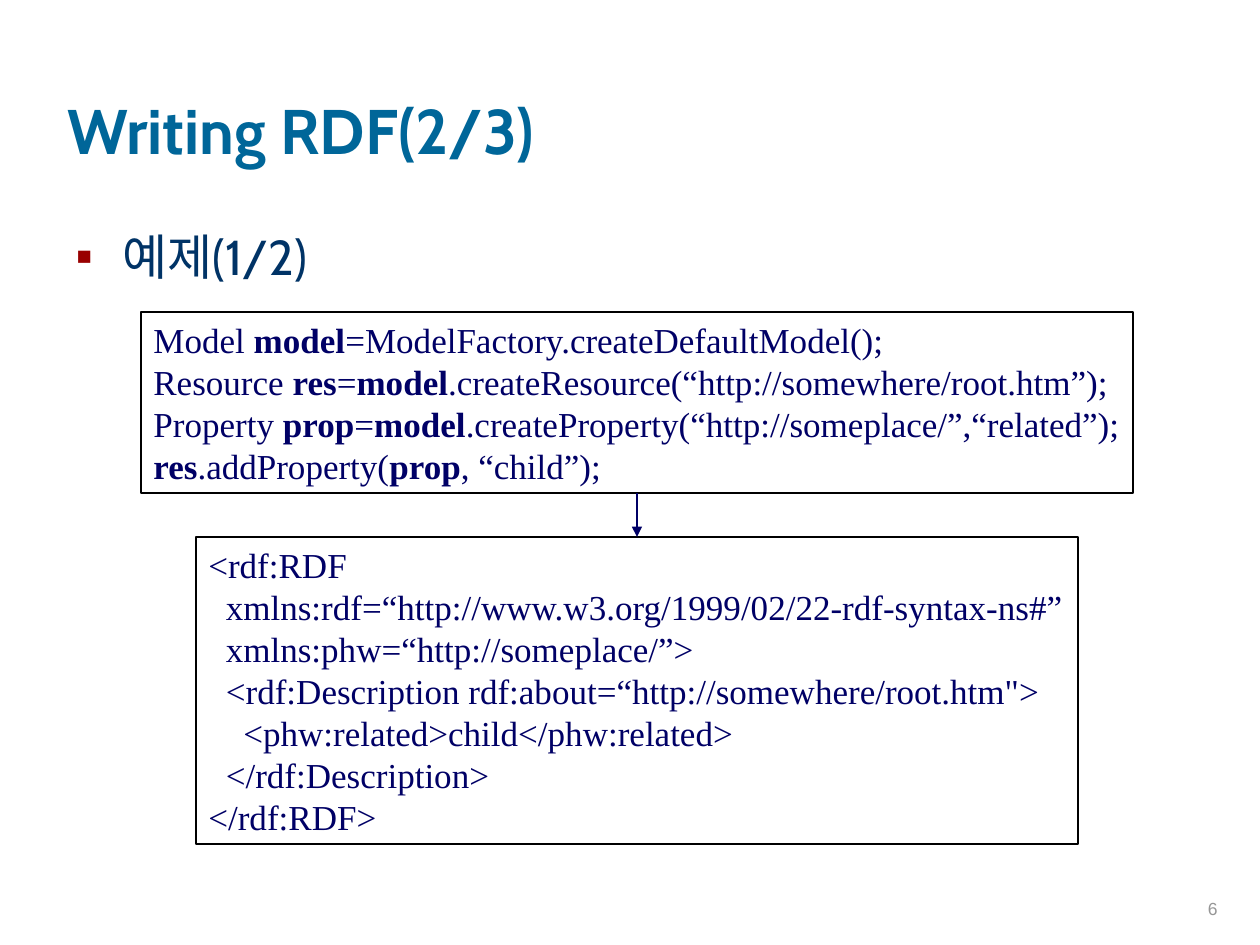
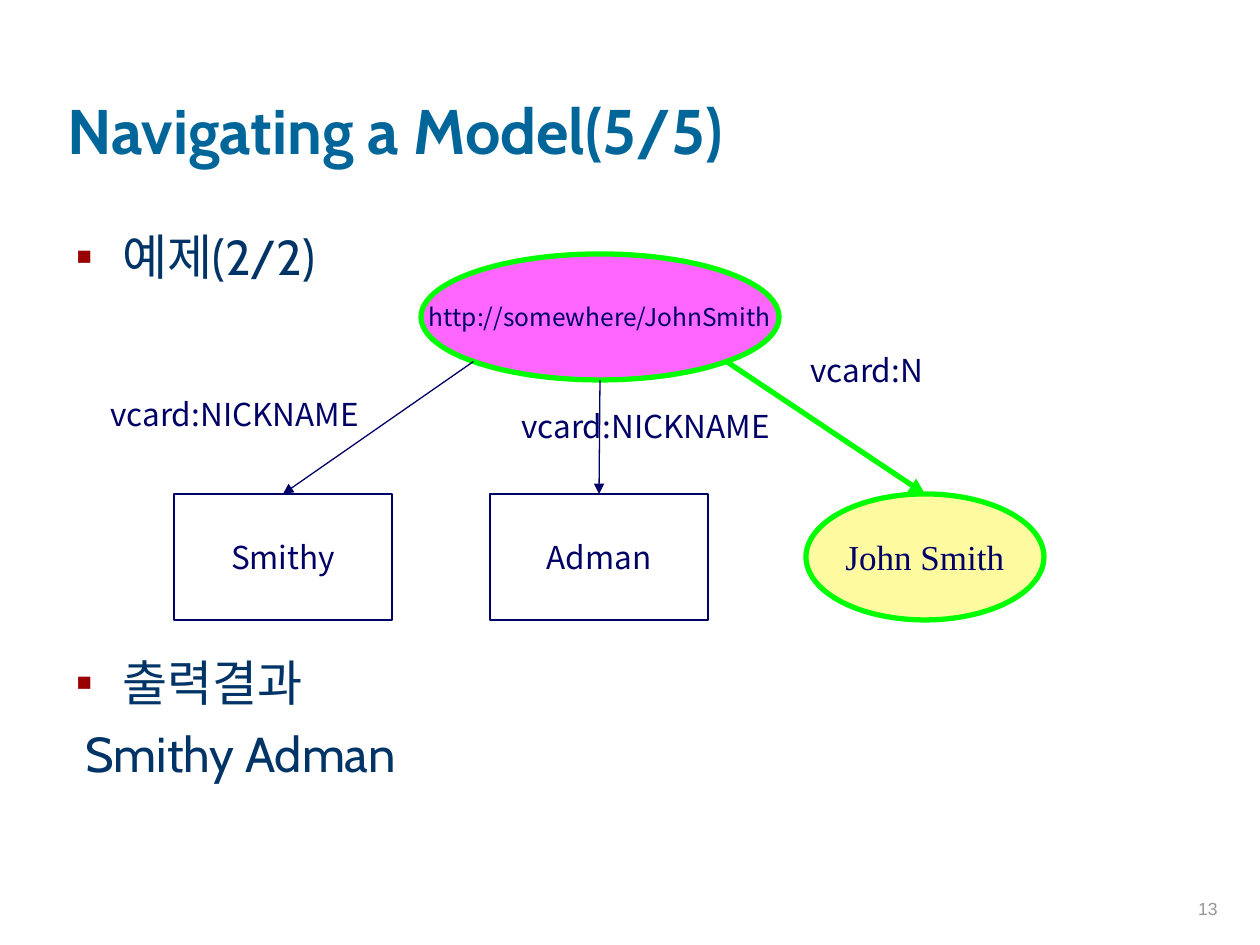
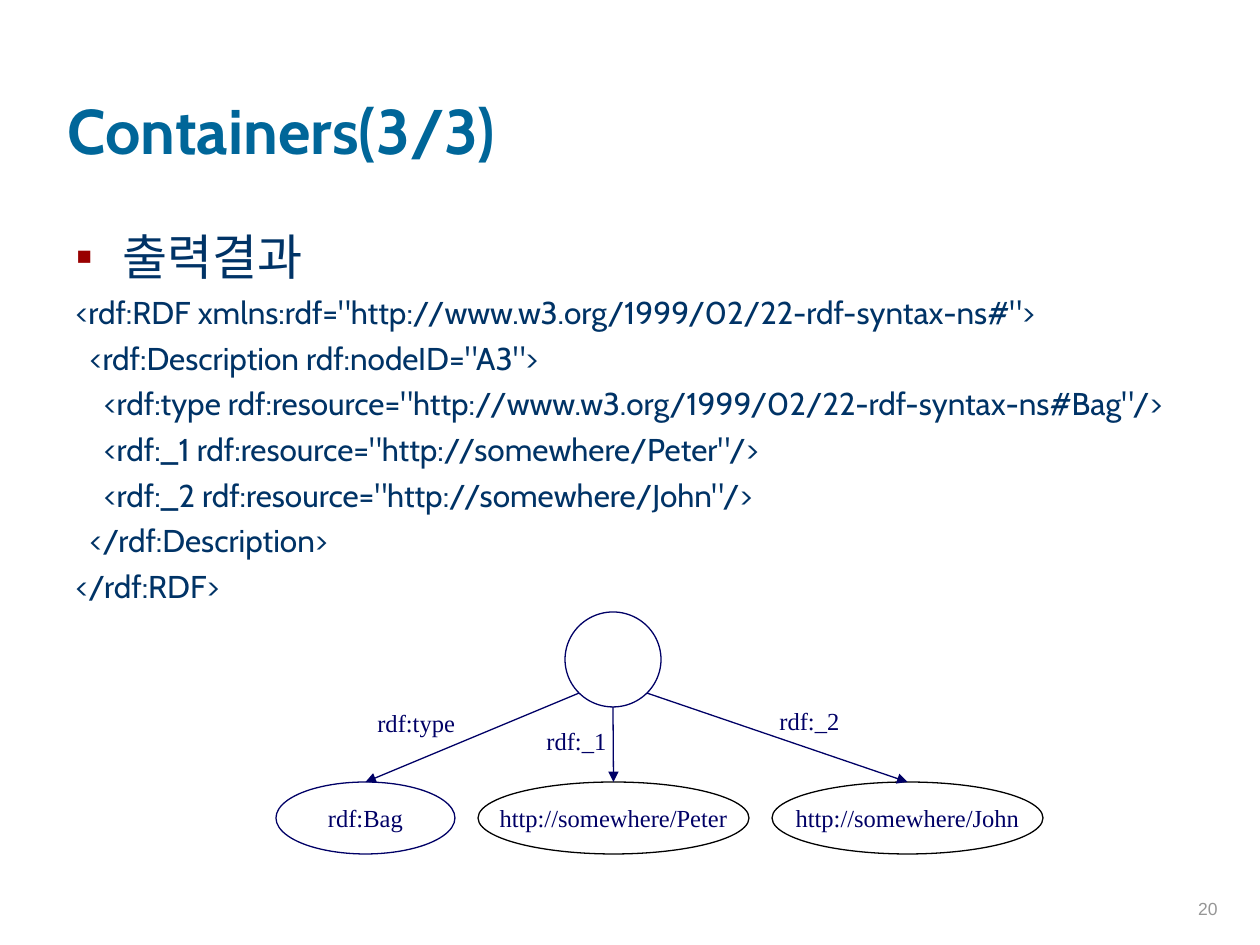
from dataclasses import dataclass
from math import sqrt

from lxml.etree import SubElement
from pptx import Presentation
from pptx.dml.color import RGBColor
from pptx.enum.shapes import MSO_CONNECTOR, MSO_SHAPE
from pptx.enum.text import MSO_ANCHOR, MSO_AUTO_SIZE, PP_ALIGN
from pptx.oxml.ns import qn
from pptx.util import Emu, Inches, Pt

PIXELS_PER_INCH = 126


def px(length):
    return Emu(round(length * 914400 / PIXELS_PER_INCH))


@dataclass(frozen=True)
class TextStyle:
    font: str
    size: int
    color: str
    bold: bool = False


@dataclass(frozen=True)
class Theme:
    navy: str = "000066"
    black: str = "000000"
    green: str = "00FF00"
    pink: str = "FF66FF"
    yellow: str = "FEFAA0"
    bullet: str = "990000"
    thin: float = 0.75
    thick: float = 3
    title: TextStyle = TextStyle("Cabin", 36, "006699", True)
    body: TextStyle = TextStyle("Cabin", 28, "003366")
    body_code: TextStyle = TextStyle("Cabin", 18, "003366")
    code: TextStyle = TextStyle("Times New Roman", 20, "000066")
    small: TextStyle = TextStyle("Times New Roman", 14, "000066")
    sans: TextStyle = TextStyle("Noto Sans CJK KR", 18, "000066")
    sans_small: TextStyle = TextStyle("Noto Sans CJK KR", 14, "000066")
    number: TextStyle = TextStyle("Arial", 10, "969696")


class Deck:
    def __init__(self, theme):
        self.theme = theme
        self.presentation = Presentation()
        self.presentation.slide_width = Inches(10)
        self.presentation.slide_height = Inches(7.5)
        self.page = None

    def add_page(self, title, number):
        layout = self.presentation.slide_layouts[1]
        self.page = self.presentation.slides.add_slide(layout)
        heading = self.page.shapes.title
        self.place(heading, 55, 15, 1071, 158)
        frame = self.format_frame(heading, MSO_ANCHOR.BOTTOM, wrap=True)
        self.add_spans(frame.paragraphs[0], title, self.theme.title)
        box = self.page.shapes.add_textbox(px(968), px(862), px(262), px(63))
        frame = self.format_frame(box, MSO_ANCHOR.BOTTOM, wrap=True)
        self.add_spans(frame.paragraphs[0], str(number), self.theme.number,
                       PP_ALIGN.RIGHT)

    def place(self, shape, left, top, width, height):
        shape.left, shape.top = px(left), px(top)
        shape.width, shape.height = px(width), px(height)

    def format_frame(self, shape, anchor, wrap=False):
        frame = shape.text_frame
        frame.auto_size = MSO_AUTO_SIZE.NONE
        frame.word_wrap = wrap
        frame.vertical_anchor = anchor
        return frame

    def add_spans(self, paragraph, text, style, align=PP_ALIGN.LEFT):
        """Add the text run by run; parts between asterisks are bold."""
        paragraph.alignment = align
        for index, part in enumerate(text.split("*")):
            if not part:
                continue
            span = paragraph.add_run()
            span.text = part
            span.font.name = style.font
            span.font.size = Pt(style.size)
            span.font.bold = style.bold or index % 2 == 1
            span.font.color.rgb = RGBColor.from_string(style.color)
            SubElement(span.font._element, qn("a:ea"), typeface=style.font)

    def body(self, first_bullet):
        box = self.page.placeholders[1]
        self.place(box, 63, 220, 1126, 615)
        frame = self.format_frame(box, MSO_ANCHOR.TOP, wrap=True)
        self.bullet(frame.paragraphs[0], first_bullet)
        return frame

    def bullet(self, paragraph, text, space_before=0):
        properties = paragraph._p.get_or_add_pPr()
        properties.set("marL", str(px(47)))
        properties.set("indent", str(-px(47)))
        color = SubElement(properties, qn("a:buClr"))
        SubElement(color, qn("a:srgbClr"), val=self.theme.bullet)
        SubElement(properties, qn("a:buFont"), typeface="Arial")
        SubElement(properties, qn("a:buChar"), char="▪")
        paragraph.space_before = Pt(space_before)
        self.add_spans(paragraph, text, self.theme.body)

    def plain_line(self, frame, text, style, space_before, indent=0):
        paragraph = frame.add_paragraph()
        properties = paragraph._p.get_or_add_pPr()
        properties.set("marL", str(px(indent)))
        properties.set("indent", "0")
        SubElement(properties, qn("a:buNone"))
        paragraph.space_before = Pt(space_before)
        self.add_spans(paragraph, text, style)

    def shape(self, kind, bounds, line, weight, fill=None):
        shape = self.page.shapes.add_shape(kind, *map(px, bounds))
        shape.shadow.inherit = False
        if fill:
            shape.fill.solid()
            shape.fill.fore_color.rgb = RGBColor.from_string(fill)
        else:
            shape.fill.background()
        shape.line.color.rgb = RGBColor.from_string(line)
        shape.line.width = Pt(weight)
        return shape

    def code_box(self, bounds, lines):
        box = self.shape(MSO_SHAPE.RECTANGLE, bounds, self.theme.black,
                         self.theme.thin)
        frame = self.format_frame(box, MSO_ANCHOR.TOP)
        for index, line in enumerate(lines):
            paragraph = frame.add_paragraph() if index else frame.paragraphs[0]
            self.add_spans(paragraph, line, self.theme.code)
        return box

    def node(self, kind, bounds, text, style, line=None, weight=None, fill=None):
        node = self.shape(kind, bounds, line or self.theme.navy,
                          weight or self.theme.thin, fill)
        frame = self.format_frame(node, MSO_ANCHOR.MIDDLE)
        self.add_spans(frame.paragraphs[0], text, style, PP_ALIGN.CENTER)
        return node

    def label(self, bounds, text, style):
        box = self.page.shapes.add_textbox(*map(px, bounds))
        frame = self.format_frame(box, MSO_ANCHOR.TOP)
        self.add_spans(frame.paragraphs[0], text, style)

    def arrow(self, source, target, side=0, color=None, weight=None):
        """Link the source's lower left (-1), bottom (0) or lower right (1)
        rim to the top of the target."""
        reach = sqrt(0.5) if side else 1
        start_x = source.left + source.width * (1 + side * reach) / 2
        start_y = source.top + source.height * (1 + reach) / 2
        arrow = self.page.shapes.add_connector(
            MSO_CONNECTOR.STRAIGHT, Emu(round(start_x)), Emu(round(start_y)),
            target.left + target.width // 2, target.top)
        arrow.line.color.rgb = RGBColor.from_string(color or self.theme.navy)
        arrow.line.width = Pt(weight or self.theme.thin)
        SubElement(arrow.line._get_or_add_ln(), qn("a:tailEnd"), type="triangle")
        SubElement(arrow._element.spPr, qn("a:effectLst"))


def add_writing_page(deck):
    deck.add_page("Writing RDF(2/3)", 6)
    deck.body("예제(1/2)")
    java = deck.code_box((141, 312, 992, 181), [
        "Model *model*=ModelFactory.createDefaultModel();",
        "Resource *res*=*model*.createResource(“http://somewhere/root.htm”);",
        "Property *prop*=*model*.createProperty(“http://someplace/”,“related”);",
        "*res*.addProperty(*prop*, “child”);",
    ])
    rdf = deck.code_box((196, 537, 882, 307), [
        "<rdf:RDF",
        "  xmlns:rdf=“http://www.w3.org/1999/02/22-rdf-syntax-ns#”",
        "  xmlns:phw=“http://someplace/”>",
        "  <rdf:Description rdf:about=“http://somewhere/root.htm\">",
        "    <phw:related>child</phw:related>",
        "  </rdf:Description>",
        "</rdf:RDF>",
    ])
    deck.arrow(java, rdf)


def add_navigating_page(deck):
    theme = deck.theme
    deck.add_page("Navigating a Model(5/5)", 13)
    frame = deck.body("예제(2/2)")
    deck.bullet(frame.add_paragraph(), "출력결과", space_before=210)
    deck.plain_line(frame, "Smithy Adman", theme.body, 7, indent=10)

    highlight = {"line": theme.green, "weight": theme.thick}
    person = deck.node(MSO_SHAPE.OVAL, (421, 254, 358, 126),
                       "http://somewhere/JohnSmith", theme.sans_small,
                       fill=theme.pink, **highlight)
    smithy, adman = [
        deck.node(MSO_SHAPE.RECTANGLE, (left, 494, 218, 126), name, theme.sans)
        for left, name in ((174, "Smithy"), (490, "Adman"))]
    full_name = deck.node(MSO_SHAPE.OVAL, (806, 494, 238, 126), "John Smith",
                          theme.code, fill=theme.yellow, **highlight)
    deck.arrow(person, smithy, -1)
    deck.arrow(person, adman)
    deck.arrow(person, full_name, 1, theme.green, theme.thick)
    for left, top, width, text in ((98, 389, 278, "vcard:NICKNAME"),
                                   (509, 401, 278, "vcard:NICKNAME"),
                                   (798, 345, 139, "vcard:N")):
        deck.label((left, top, width, 50), text, theme.sans)


def add_containers_page(deck):
    theme = deck.theme
    deck.add_page("Containers(3/3)", 20)
    frame = deck.body("출력결과")
    for line in (
        '<rdf:RDF xmlns:rdf="http://www.w3.org/1999/02/22-rdf-syntax-ns#">',
        '  <rdf:Description rdf:nodeID="A3">',
        '    <rdf:type rdf:resource="http://www.w3.org/1999/02/22-rdf-syntax-ns#Bag"/>',
        '    <rdf:_1 rdf:resource="http://somewhere/Peter"/>',
        '    <rdf:_2 rdf:resource="http://somewhere/John"/>',
        '  </rdf:Description>',
        '</rdf:RDF>',
    ):
        deck.plain_line(frame, line, theme.body_code, 4.5)

    container = deck.shape(MSO_SHAPE.OVAL, (565, 612, 96, 95), theme.navy,
                           theme.thin)
    members = (
        (276, 179, "rdf:Bag", theme.navy, -1),
        (478, 271, "http://somewhere/Peter", theme.black, 0),
        (772, 271, "http://somewhere/John", theme.black, 1),
    )
    for left, width, text, line, side in members:
        member = deck.node(MSO_SHAPE.OVAL, (left, 782, width, 72), text,
                           theme.small, line)
        deck.arrow(container, member, side)
    for left, top, width, text in ((365, 702, 102, "rdf:type"),
                                   (534, 720, 84, "rdf:_1"),
                                   (767, 700, 84, "rdf:_2")):
        deck.label((left, top, width, 43), text, theme.small)


def main():
    deck = Deck(Theme())
    add_writing_page(deck)
    add_navigating_page(deck)
    add_containers_page(deck)
    deck.presentation.save("out.pptx")


if __name__ == "__main__":
    main()
